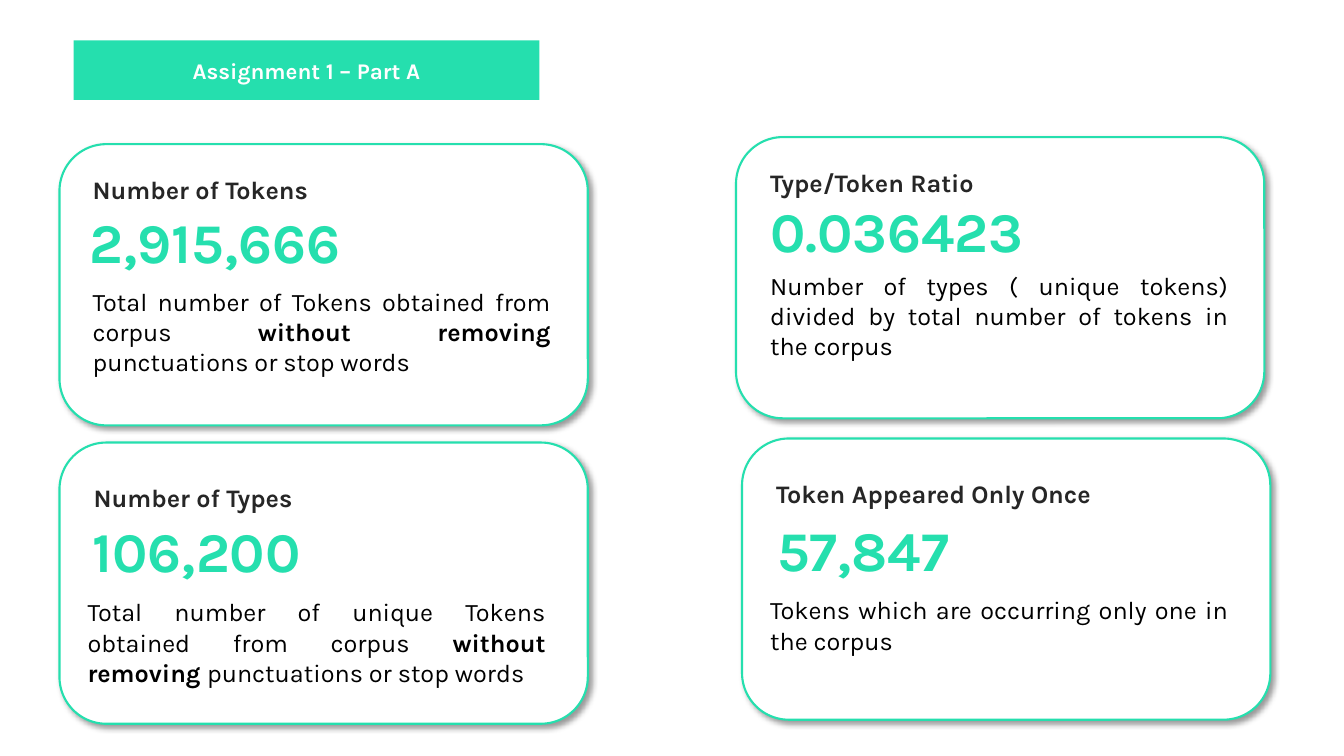
from lxml import etree
from pptx import Presentation
from pptx.dml.color import RGBColor
from pptx.enum import shapes, text
from pptx.oxml import ns, parse_xml
from pptx import util as u

MINT = RGBColor(0x25, 0xDF, 0xAE)
WHITE = RGBColor(0xFF, 0xFF, 0xFF)
DARK = RGBColor(0x26, 0x26, 0x26)
BLACK = RGBColor(0, 0, 0)
SCALE = 9144  # EMU per px, 100 px to the inch

SHADOW = (
    f'<a:effectLst {ns.nsdecls("a")}>'
    '<a:outerShdw blurRad="50800" dist="38100" dir="2700000" algn="tl" rotWithShape="0">'
    '<a:srgbClr val="000000"><a:alpha val="40000"/></a:srgbClr>'
    '</a:outerShdw></a:effectLst>'
)


class Deck:
    font = "Karla"
    styles = {
        "title": {"size": u.Pt(16), "bold": True, "color": WHITE},
        "label": {"size": u.Pt(18), "bold": True, "color": DARK},
        "value": {"size": u.Pt(40), "bold": True, "color": MINT},
        "body": {"size": u.Pt(18), "bold": False, "color": BLACK},
        "strong": {"size": u.Pt(18), "bold": True, "color": BLACK},
    }

    def __init__(self, width, height):
        self.prs = Presentation()
        self.prs.slide_width = width * SCALE
        self.prs.slide_height = height * SCALE
        self.slide = self.prs.slides.add_slide(self.prs.slide_layouts[5])

    def fill_text(self, frame, runs, align):
        """Fill a frame with one paragraph of (words, style) runs."""
        frame.word_wrap = True
        frame.auto_size = text.MSO_AUTO_SIZE.NONE
        para = frame.paragraphs[0]
        para.alignment = align
        for words, style in runs:
            run = para.add_run()
            run.text = words
            run.font.name = self.font
            for key, value in self.styles[style].items():
                if key == "color":
                    run.font.color.rgb = value
                else:
                    setattr(run.font, key, value)

    def title(self, words, box):
        """Give the title placeholder a pill outline."""
        pill = self.slide.shapes.title
        pill.left, pill.top, pill.width, pill.height = (n * SCALE for n in box)
        geom = etree.SubElement(pill._element.spPr, ns.qn("a:prstGeom"), prst="roundRect")
        guides = etree.SubElement(geom, ns.qn("a:avLst"))
        etree.SubElement(guides, ns.qn("a:gd"), name="adj", fmla="val 50000")
        pill.fill.solid()
        pill.fill.fore_color.rgb = MINT
        pill.text_frame.vertical_anchor = text.MSO_ANCHOR.MIDDLE
        self.fill_text(pill.text_frame, [(words, "title")], text.PP_ALIGN.CENTER)

    def panel(self, home, box):
        """Add a white rounded panel with a soft shadow."""
        shape = home.add_shape(shapes.MSO_SHAPE.ROUNDED_RECTANGLE, *(n * SCALE for n in box))
        shape.fill.solid()
        shape.fill.fore_color.rgb = WHITE
        shape.line.color.rgb = MINT
        shape.line.width = u.Pt(1.5)
        shape._element.spPr.append(parse_xml(SHADOW))

    def label(self, home, box, runs, align=text.PP_ALIGN.LEFT):
        field = home.add_textbox(*(n * SCALE for n in box))
        self.fill_text(field.text_frame, runs, align)

    def card(self, spot, name, name_at, value, value_at, body, body_at):
        """Add a grouped panel, name and value, then the body text."""
        home = self.slide.shapes.add_group_shape().shapes
        self.panel(home, (*spot, 524, 279))
        self.label(home, (*name_at, 440, 64), [(name, "label")])
        self.label(home, (*value_at, 347, 77), [(value, "value")])
        self.label(self.slide.shapes, (*body_at, 474, 101), body, text.PP_ALIGN.JUSTIFY)

    def save(self):
        self.prs.save("out.pptx")


def kept(start):
    """Body runs for counts that keep punctuation and stop words."""
    return [(start, "body"), ("without removing ", "strong"),
            ("punctuations or stop words", "body")]


CARDS = [
    ((59, 143), "Number of Tokens", (82, 168), "2,915,666", (79, 201),
     kept("Total number of Tokens obtained from corpus "), (82, 279)),
    ((59, 439), "Number of Types", (83, 474), "106,200", (82, 508),
     kept("Total number of unique Tokens obtained from corpus "), (77, 587)),
    ((730, 136), "Type/Token Ratio", (754, 161), "0.036423", (754, 190),
     [("Number of types ( unique tokens) divided by total number of tokens in the corpus",
       "body")], (754, 263)),
    ((736, 435), "Token Appeared Only Once", (760, 470), "57,847", (761, 507),
     [("Tokens which are occurring only one in the corpus", "body")], (754, 585)),
]


def main():
    deck = Deck(1333, 750)
    deck.title("Assignment 1 – Part A", (73, 40, 462, 59))
    for card in CARDS:
        deck.card(*card)
    deck.save()


if __name__ == "__main__":
    main()
